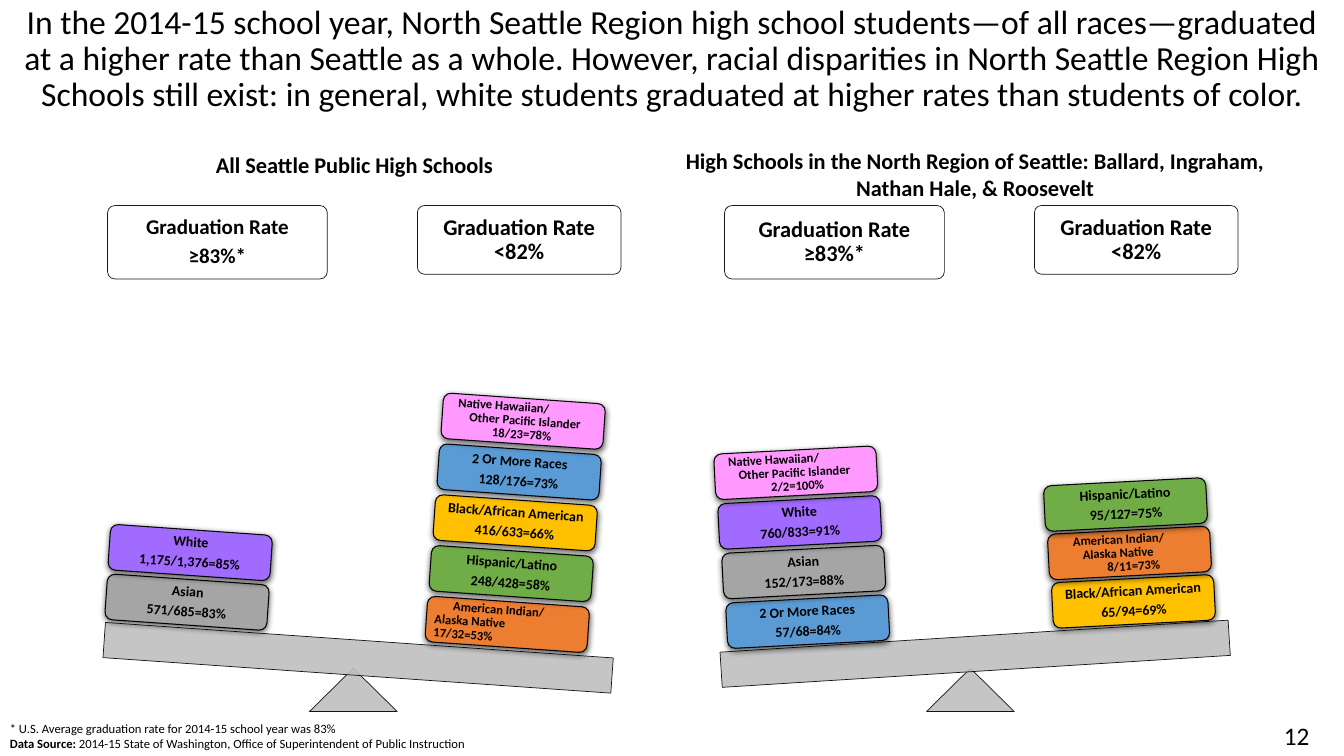
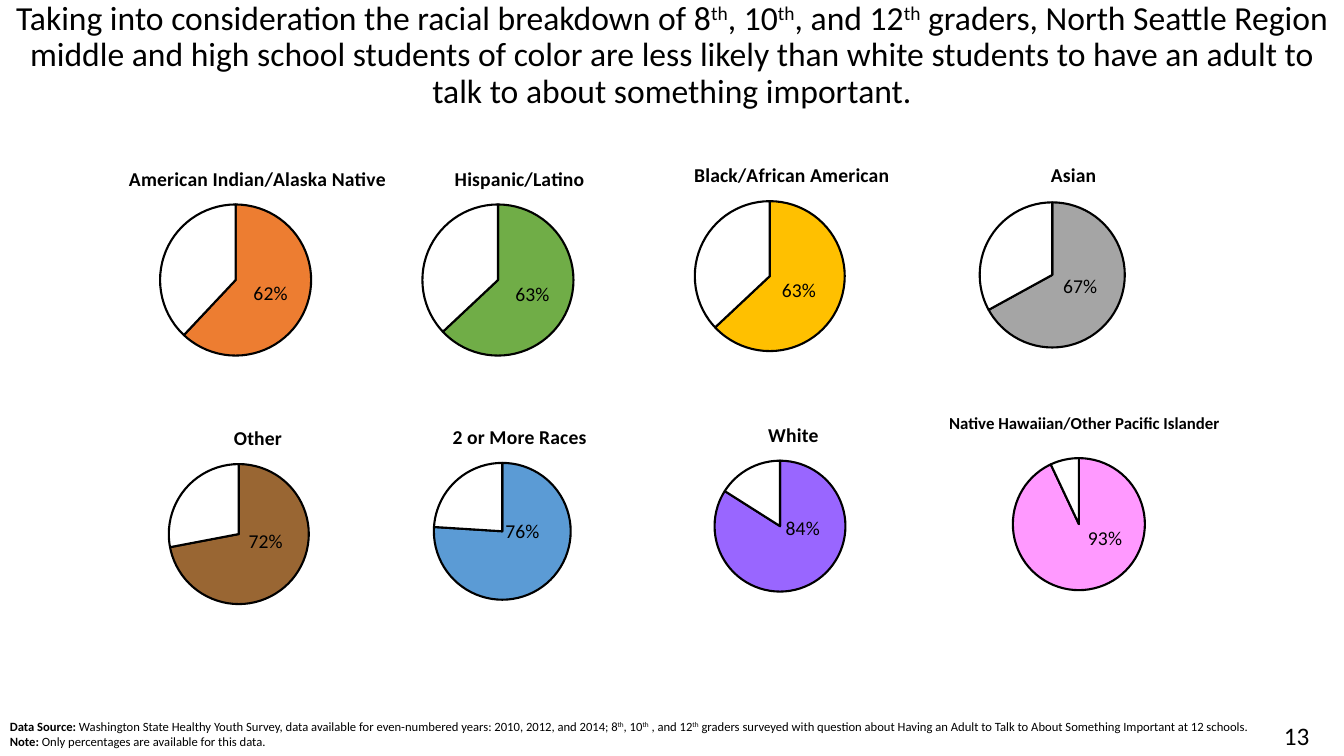
from lxml.etree import SubElement
from pptx import Presentation
from pptx.chart.data import CategoryChartData
from pptx.dml.color import RGBColor
from pptx.enum.chart import XL_CHART_TYPE, XL_LABEL_POSITION
from pptx.enum.shapes import MSO_SHAPE
from pptx.enum.text import MSO_ANCHOR, MSO_AUTO_SIZE, PP_ALIGN
from pptx.oxml import parse_xml
from pptx.oxml.ns import nsdecls, qn
from pptx.util import Cm, Pt

WIDE, HIGH = 33.87, 19.05
FONT, BLACK, WHITE, STEEL = "Calibri", "000000", "FFFFFF", "BFBFBF"
HUES = {
    "native": "ED7D31", "latino": "70AD47", "black": "FFC000", "asian": "A5A5A5",
    "other": "996633", "mixed": "5B9BD5", "white": "A26BFF", "island": "FF99FF",
}
CENTER, LEFT = PP_ALIGN.CENTER, PP_ALIGN.LEFT
TOP, MID, LOW = MSO_ANCHOR.TOP, MSO_ANCHOR.MIDDLE, MSO_ANCHOR.BOTTOM

# Text marks: "lead|rest" makes the lead bold, "^th^" is raised.
RATES = {
    "page": "12",
    "title": "In the 2014-15 school year, North Seattle Region high school students"
             "—of all races—graduated at a higher rate than Seattle as a whole. "
             "However, racial disparities in North Seattle Region High Schools still "
             "exist: in general, white students graduated at higher rates than "
             "students of color.",
    "notes": ["* U.S. Average graduation rate for 2014-15 school year was 83%",
              "Data Source: |2014-15 State of Washington, Office of Superintendent "
              "of Public Instruction"],
}
ADULTS = {
    "page": "13",
    "title": "Taking into consideration the racial breakdown of 8^th^, 10^th^, and "
             "12^th^ graders, North Seattle Region middle and high school students of "
             "color are less likely than white students to have an adult to talk to "
             "about something important.",
    "notes": ["Data Source: |Washington State Healthy Youth Survey, data available for "
              "even-numbered years: 2010, 2012, and 2014; 8^th^, 10^th^ , and 12^th^ "
              "graders surveyed with question about Having an Adult to Talk to About "
              "Something Important at 12 schools.",
              "Note: |Only percentages are available for this data."],
}

# Cards run from the beam upwards; a line may be (indent, text).
SCALES = [
    {"name": "All Seattle Public High Schools",
     "head": (1.3, 3.68), "left": 2.65, "beam": 16.13, "tilt": 4, "rate": (15, 5),
     "stacks": [
         {"at": (2.67, 14.6), "step": (0.08, 1.25), "tilt": 4, "cards": [
             ("asian", ["Asian", "571/685=83%"]),
             ("white", ["White", "1,175/1,376=85%"])]},
         {"at": (10.74, 15.16), "step": (0.1, 1.28), "tilt": 4, "cards": [
             ("native", [(0.45, "American Indian/"), (0, "Alaska Native\t17/32=53%")]),
             ("latino", ["Hispanic/Latino", "248/428=58%"]),
             ("black", ["Black/African American", "416/633=66%"]),
             ("mixed", ["2 Or More Races", "128/176=73%"]),
             ("island", [(0.18, "Native Hawaiian/"), (0.48, "Other Pacific Islander"),
                         (1.08, "18/23=78%")])]}]},
    {"name": "High Schools in the North Region of Seattle: Ballard, Ingraham, "
             "Nathan Hale, & Roosevelt",
     "head": (16.94, 3.58), "left": 18.2, "beam": 16.03, "tilt": -3.6, "rate": (16, 0),
     "stacks": [
         {"at": (18.31, 15.09), "step": (-0.1, 1.25), "tilt": -3, "cards": [
             ("mixed", ["2 Or More Races", "57/68=84%"]),
             ("asian", ["Asian", "152/173=88%"]),
             ("white", ["White", "760/833=91%"]),
             ("island", [(0.15, "Native Hawaiian/"), (0.4, "Other Pacific Islander"),
                         (1.2, "2/2=100%")])]},
         {"at": (26.52, 14.58), "step": (-0.1, 1.22), "tilt": -3, "cards": [
             ("black", ["Black/African American", "65/94=69%"]),
             ("native", [(0.43, "American Indian/"), (0.66, "Alaska Native"),
                         (1.26, "8/11=73%")]),
             ("latino", ["Hispanic/Latino", "95/127=75%"])]}]},
]

# name, hue, share, frame corner, pie centre, pie width, title width, label shift
PIES = [
    ("American Indian/Alaska Native", HUES["native"], 0.62,
     (1.6, 3.66), (5.94, 7.06), 3.81, 6.5, None),
    ("Hispanic/Latino", HUES["latino"], 0.63,
     (8.2, 3.66), (12.55, 7.06), 3.81, 3.28, None),
    ("Black/African American", HUES["black"], 0.63,
     (15.06, 3.58), (19.4, 6.96), 3.78, 4.93, (-0.13, 0)),
    ("Asian", HUES["asian"], 0.67,
     (22.15, 3.58), (26.52, 6.93), 3.66, 1.13, (-0.08, -0.18)),
    ("Other", HUES["other"], 0.72,
     (1.6, 10.19), (6.02, 13.46), 3.53, 1.21, (0, -0.38)),
    ("2 or More Races", HUES["mixed"], 0.76,
     (8.2, 10.16), (12.66, 13.39), 3.45, 3.38, (-0.08, -0.63)),
    ("White", "9966FF", 0.84,
     (15.09, 10.11), (19.66, 13.26), 3.3, 1.26, (0.18, -0.65)),
    ("Native Hawaiian/Other Pacific Islander", HUES["island"], 0.93,
     (22.45, 10.19), (27.19, 13.21), 3.33, 6.84, (0.48, -0.45)),
]
FRAME = (9.62, 5.77)


def put(item, **form):
    for key, val in form.items():
        setattr(item, key, val)


def rgb(hue):
    return RGBColor.from_string(hue)


def style(font, size, bold=False):
    put(font, name=FONT, size=Pt(size), bold=bold)
    font.color.rgb = rgb(BLACK)


def write(shape, lines, size, bold=False, align=LEFT, anchor=TOP, inset=None,
          lead=1.0, gap=0):
    frame = shape.text_frame
    put(frame, word_wrap=True, auto_size=MSO_AUTO_SIZE.NONE, vertical_anchor=anchor)
    if inset is not None:
        for side in ("left", "right", "top", "bottom"):
            setattr(frame, "margin_" + side, Cm(inset))
    for num, line in enumerate(lines):
        para = frame.add_paragraph() if num else frame.paragraphs[0]
        put(para, alignment=align, line_spacing=lead, space_before=Pt(0),
            space_after=Pt(gap if num < len(lines) - 1 else 0))
        if isinstance(line, tuple):
            dent, line = line
            para.alignment = LEFT
            props = para._p.get_or_add_pPr()
            props.set("marL", str(Cm(dent)))
            if "\t" in line:
                tabs = SubElement(props, qn("a:tabLst"))
                SubElement(tabs, qn("a:tab"), pos=str(Cm(2.32)), algn="l")
        head, mark, rest = line.rpartition("|")
        for words, heavy in ((head, True), (rest, bold)):
            for spot, bit in enumerate(words.split("^")):
                if bit:
                    run = para.add_run()
                    run.text = bit
                    style(run.font, size, heavy)
                    if spot % 2:
                        run._r.get_or_add_rPr().set("baseline", "30000")


def label(slide, box, lines, size, **form):
    write(slide.shapes.add_textbox(*map(Cm, box)), lines, size, **form)


def draw(slide, kind, box, fill, width=0.5, turn=0, clear=False):
    shape = slide.shapes.add_shape(kind, *map(Cm, box))
    shape.shadow.inherit = False
    shape.rotation = turn
    shape.fill.solid()
    shape.fill.fore_color.rgb = rgb(fill)
    shape.line.color.rgb = rgb(BLACK)
    shape.line.width = Pt(width)
    if clear:
        for hue in shape.element.spPr.iter(qn("a:srgbClr")):
            SubElement(hue, qn("a:alpha"), val="90000")
    return shape


def shade(shape):
    """Give the shape a soft shadow below it."""
    pool = shape.element.spPr.find(qn("a:effectLst"))
    drop = SubElement(pool, qn("a:outerShdw"), blurRad=str(Pt(4.5)), dist=str(Pt(1.5)),
                      dir="5400000", algn="ctr", rotWithShape="0")
    hue = SubElement(drop, qn("a:srgbClr"), val=BLACK)
    SubElement(hue, qn("a:alpha"), val="63000")


def start(deck, text, tall, anchor, foot):
    slide = deck.slides.add_slide(deck.slide_layouts[5])
    title = slide.shapes.title
    put(title, left=Cm(0), top=Cm(0), width=Cm(WIDE), height=Cm(tall))
    write(title, [text["title"]], 24, align=CENTER, anchor=anchor, lead=0.9)
    label(slide, (0, foot, 32.08, 1.02), text["notes"], 9, anchor=LOW)
    label(slide, (31.5, 18.03, 2.36, 1.02), [text["page"]], 18, align=CENTER, anchor=LOW)
    return slide


def weigh(slide, scale):
    """Draw one tilted scale with its plates and stacks of cards."""
    left = scale["left"]
    label(slide, (*scale["head"], 15.27, 1.63), [scale["name"]], 16, bold=True,
          align=CENTER)
    plates = [(0.06, 5.54, 1.85, "≥83%*", *scale["rate"]),
              (7.87, 5.13, 1.73, "<82%", 16, 0)]
    for dx, wide, tall, rate, size, gap in plates:
        plate = draw(slide, MSO_SHAPE.ROUNDED_RECTANGLE, (left + dx, 5.18, wide, tall),
                     WHITE, clear=True)
        plate.adjustments[0] = 0.1
        write(plate, ["Graduation Rate", rate], size, bold=True, align=CENTER,
              anchor=MID, inset=0.18, lead=0.9, gap=gap)
    draw(slide, MSO_SHAPE.ISOSCELES_TRIANGLE, (left + 5.15, 16.84, 2.21, 1.09), STEEL,
         clear=True)
    draw(slide, MSO_SHAPE.RECTANGLE, (left - 0.04, scale["beam"], 12.83, 0.89), STEEL,
         turn=scale["tilt"], clear=True)
    for stack in scale["stacks"]:
        (x, y), (dx, dy) = stack["at"], stack["step"]
        for num, (race, lines) in enumerate(stack["cards"]):
            card = draw(slide, MSO_SHAPE.ROUNDED_RECTANGLE,
                        (x + num * dx, y - num * dy, 4.09, 1.15), HUES[race], 0.75,
                        stack["tilt"])
            shade(card)
            tight = isinstance(lines[0], tuple)
            write(card, lines, 9 if tight else 10, bold=True, align=CENTER, anchor=MID,
                  inset=0.15, lead=0.9, gap=0 if tight else 3.5)


def place(node, spot, inner=False, edge=True, **vals):
    """Set a manual layout, in parts of the chart frame, as child number spot."""
    for old in node.findall(qn("c:layout")):
        node.remove(old)
    layout = parse_xml(f"<c:layout {nsdecls('c')}><c:manualLayout/></c:layout>")
    form = {"layoutTarget": "inner"} if inner else {}
    if edge:
        form.update(xMode="edge", yMode="edge")
    form.update({key: f"{val:.4f}" for key, val in vals.items()})
    for key, val in form.items():
        SubElement(layout[0], qn("c:" + key), val=val)
    node.insert(spot, layout)


def pie(slide, name, hue, share, corner, core, size, span, shift):
    wide, tall = FRAME
    data = CategoryChartData(number_format="0%")
    data.categories = ["1", "2"]
    data.add_series(name, [share, round(1 - share, 2)])
    chart = slide.shapes.add_chart(XL_CHART_TYPE.PIE, *map(Cm, corner + FRAME),
                                   data).chart
    put(chart, has_legend=False, has_title=True)
    style(chart.font, 10)
    small = span > 6.6
    run = chart.chart_title.text_frame.paragraphs[0].add_run()
    run.text = name
    style(run.font, 12 if small else 14, True)
    place(chart.chart_title.element, 1, x=(1 - span / wide) / 2,
          y=0.02 if small else 0.07)
    x, y = (mid - edge - size / 2 for mid, edge in zip(core, corner))
    place(chart.element.find(".//" + qn("c:plotArea")), 0, inner=True,
          x=x / wide, y=y / tall, w=size / wide, h=size / tall)
    plot = chart.plots[0]
    plot.vary_by_categories = False
    series = plot.series[0]
    series.data_labels.show_value = False
    for num, fill in enumerate((hue, WHITE)):
        look = series.points[num].format
        look.fill.solid()
        look.fill.fore_color.rgb = rgb(fill)
        look.line.color.rgb = rgb(BLACK)
        look.line.width = Pt(1.5)
    tag = series.points[0].data_label
    style(tag.font, 14)
    tag.position = XL_LABEL_POSITION.CENTER
    if shift:
        place(chart.element.find(".//" + qn("c:dLbl")), 1, edge=False,
              x=shift[0] / wide, y=shift[1] / tall)


def main():
    deck = Presentation()
    put(deck, slide_width=Cm(WIDE), slide_height=Cm(HIGH))
    slide = start(deck, RATES, 3.84, TOP, 18.03)
    for scale in SCALES:
        weigh(slide, scale)
    slide = start(deck, ADULTS, 2.82, MID, 17.98)
    for row in PIES:
        pie(slide, *row)
    deck.save("out.pptx")


if __name__ == "__main__":
    main()
